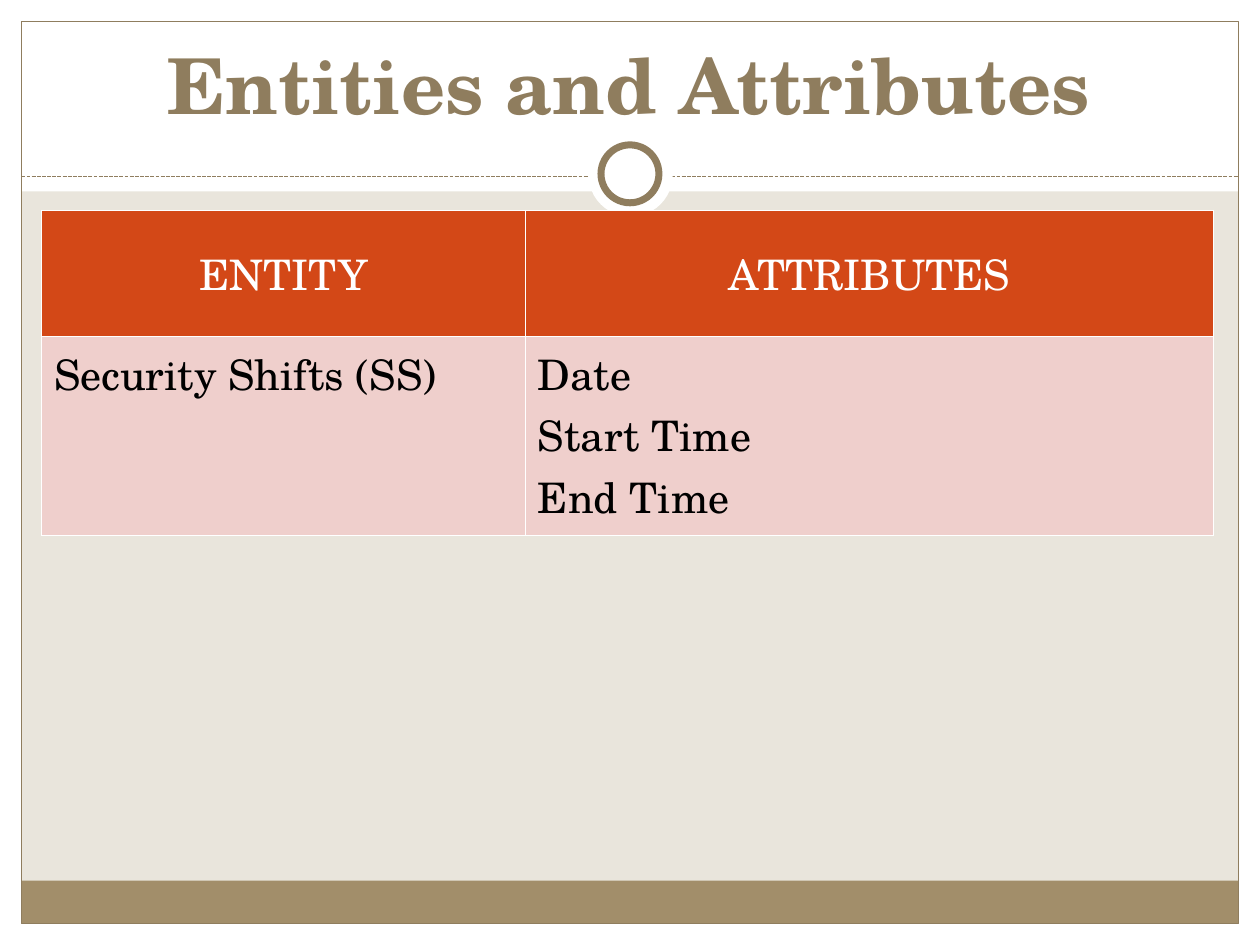
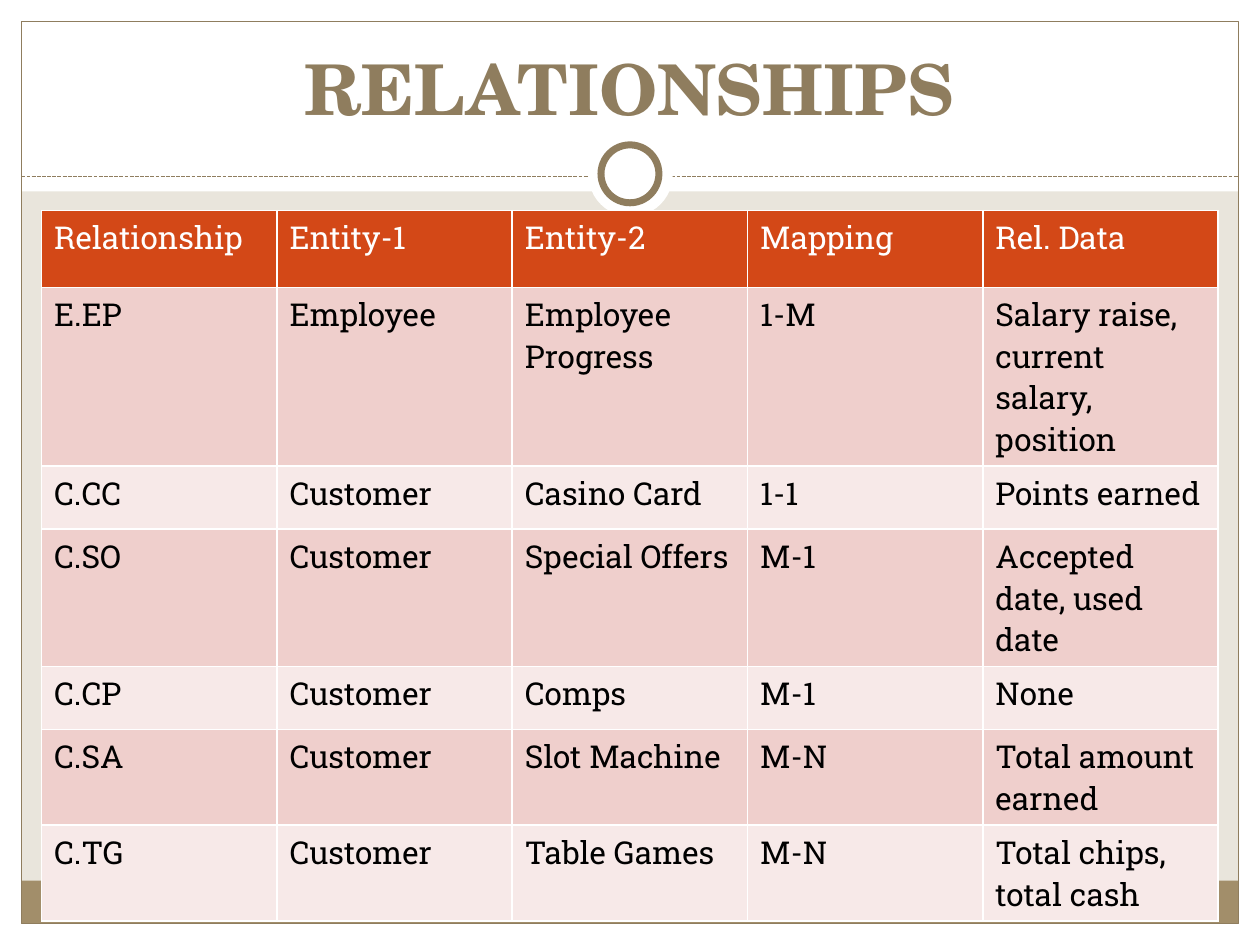
from dataclasses import dataclass
from typing import Optional

from lxml import etree
from pptx import Presentation
from pptx import util as u
from pptx.dml.color import RGBColor
from pptx.enum import dml, shapes, text
from pptx.oxml.ns import qn

# Palette and fonts
WHITE = RGBColor(0xFF, 0xFF, 0xFF)
BLACK = RGBColor(0x00, 0x00, 0x00)
SAND = RGBColor(0xE9, 0xE5, 0xDC)
BAND = RGBColor(0xA2, 0x8E, 0x6A)
BRONZE = RGBColor(0x8F, 0x7D, 0x5E)
ORANGE = RGBColor(0xD3, 0x48, 0x17)
ROSE = RGBColor(0xEF, 0xCF, 0xCC)
PALE_ROSE = RGBColor(0xF7, 0xE9, 0xE8)
SCHOLA = "TeX Gyre Schola"
SLAB = "Roboto Slab"

RECT = shapes.MSO_SHAPE.RECTANGLE
OVAL = shapes.MSO_SHAPE.OVAL
TOP, MIDDLE, BOTTOM = (text.MSO_ANCHOR.TOP, text.MSO_ANCHOR.MIDDLE,
                       text.MSO_ANCHOR.BOTTOM)
LEFT, CENTER = text.PP_ALIGN.LEFT, text.PP_ALIGN.CENTER


@dataclass(frozen=True)
class Panel:
    """One piece of the slide frame; lengths in inches, line in points."""
    left: float
    top: float
    width: float
    height: float
    fill: Optional[RGBColor] = WHITE
    line: float = 0
    kind: shapes.MSO_SHAPE = RECT


@dataclass(frozen=True)
class Grid:
    """A table with a header row and banded body rows."""
    columns: list[float]
    heights: list[float]
    rows: list[list[str]]
    font: str
    size: float
    header_align: text.PP_ALIGN = LEFT
    header_anchor: text.MSO_ANCHOR = TOP


MARGINS_AND_BAND = [
    Panel(0, 7.33, 10, 0.17),
    Panel(0, 0, 10, 1.52),
    Panel(0, 0, 0.17, 7.5),
    Panel(9.83, 0, 0.17, 7.5),
    Panel(0.17, 6.99, 9.66, 0.34, fill=BAND),
    Panel(0.17, 0.17, 9.66, 7.16, fill=None, line=0.75),
]
RING = [
    Panel(4.67, 1.05, 0.67, 0.67, kind=OVAL),
    Panel(4.77, 1.15, 0.46, 0.46, line=4, kind=OVAL),
]

ENTITIES = Grid(
    columns=[3.84, 5.46],
    heights=[1, 1.58],
    rows=[
        ["ENTITY", "ATTRIBUTES"],
        ["Security Shifts (SS)", "Date\nStart Time\nEnd Time"],
    ],
    font=SCHOLA, size=24, header_align=CENTER, header_anchor=MIDDLE,
)
RELATIONSHIPS = Grid(
    columns=[9.34 / 5] * 5,
    heights=[0.61, 1.42, 0.5, 1.09, 0.5, 0.76, 0.76],
    rows=[
        ["Relationship", "Entity-1", "Entity-2", "Mapping", "Rel. Data"],
        ["E.EP", "Employee", "Employee Progress", "1-M",
         "Salary raise, current salary, position"],
        ["C.CC", "Customer", "Casino Card", "1-1", "Points earned"],
        ["C.SO", "Customer", "Special Offers", "M-1",
         "Accepted date, used date"],
        ["C.CP", "Customer", "Comps", "M-1", "None"],
        ["C.SA", "Customer", "Slot Machine", "M-N", "Total amount earned"],
        ["C.TG", "Customer", "Table Games", "M-N",
         "Total chips, total cash"],
    ],
    font=SLAB, size=18,
)


def write(frame, content: str, *, font: str, size: float, color: RGBColor,
          bold: bool = False, align: text.PP_ALIGN = LEFT) -> None:
    """Fill a text frame, one paragraph for each line of the content."""
    frame.word_wrap = True
    frame.text = content
    for paragraph in frame.paragraphs:
        paragraph.alignment = align
        for run in paragraph.runs:
            run.font.name = font
            run.font.size = u.Pt(size)
            run.font.bold = bold
            run.font.color.rgb = color


def draw_panel(slide, panel: Panel) -> None:
    box = [u.Inches(n) for n in
           (panel.left, panel.top, panel.width, panel.height)]
    shape = slide.shapes.add_shape(panel.kind, *box)
    shape.shadow.inherit = False
    if panel.fill is None:
        shape.fill.background()
    else:
        shape.fill.solid()
        shape.fill.fore_color.rgb = panel.fill
    if panel.line:
        shape.line.color.rgb = BRONZE
        shape.line.width = u.Pt(panel.line)
    else:
        shape.line.fill.background()


def draw_divider(slide) -> None:
    divider = slide.shapes.add_connector(
        shapes.MSO_CONNECTOR.STRAIGHT,
        u.Inches(0.17), u.Inches(1.4), u.Inches(9.83), u.Inches(1.4))
    divider.line.color.rgb = BRONZE
    divider.line.width = u.Pt(0.75)
    divider.line.dash_style = dml.MSO_LINE.SQUARE_DOT
    etree.SubElement(divider._element.spPr, qn("a:effectLst"))


def draw_title(slide, title: str, size: float) -> None:
    box = slide.shapes.add_textbox(u.Inches(0.33), u.Inches(0.25),
                                   u.Inches(9.33), u.Inches(0.83))
    frame = box.text_frame
    frame.margin_top = 0
    frame.vertical_anchor = BOTTOM
    write(frame, title, font=SCHOLA, size=size, color=BRONZE,
          bold=True, align=CENTER)


def add_borders(cell) -> None:
    """White lines round a cell; these must come before its fill."""
    properties = cell._tc.get_or_add_tcPr()
    for side in "LRTB":
        line = etree.SubElement(properties, qn(f"a:ln{side}"),
                                w=str(u.Pt(1)))
        fill = etree.SubElement(line, qn("a:solidFill"))
        etree.SubElement(fill, qn("a:srgbClr"), val=str(WHITE))


def draw_grid(slide, grid: Grid) -> None:
    table = slide.shapes.add_table(
        len(grid.rows), len(grid.columns), u.Inches(0.33), u.Inches(1.67),
        u.Inches(sum(grid.columns)), u.Inches(sum(grid.heights))).table
    table.first_row = table.horz_banding = False
    for column, width in zip(table.columns, grid.columns):
        column.width = u.Inches(width)
    for row, height in zip(table.rows, grid.heights):
        row.height = u.Inches(height)

    for r, entries in enumerate(grid.rows):
        header = r == 0
        body_fill = ROSE if r % 2 else PALE_ROSE
        for c, entry in enumerate(entries):
            cell = table.cell(r, c)
            add_borders(cell)
            cell.fill.solid()
            cell.fill.fore_color.rgb = ORANGE if header else body_fill
            cell.vertical_anchor = grid.header_anchor if header else TOP
            write(cell.text_frame, entry, font=grid.font, size=grid.size,
                  color=WHITE if header else BLACK,
                  align=grid.header_align if header else LEFT)


def add_slide(deck, title: str, title_size: float, grid: Grid) -> None:
    slide = deck.slides.add_slide(deck.slide_layouts[6])
    slide.background.fill.solid()
    slide.background.fill.fore_color.rgb = SAND
    # Shared frame
    for panel in MARGINS_AND_BAND:
        draw_panel(slide, panel)
    draw_divider(slide)
    for panel in RING:
        draw_panel(slide, panel)
    # Content
    draw_title(slide, title, title_size)
    draw_grid(slide, grid)


def main() -> None:
    deck = Presentation()
    deck.slide_width, deck.slide_height = u.Inches(10), u.Inches(7.5)
    add_slide(deck, "Entities and Attributes", 44, ENTITIES)
    add_slide(deck, "RELATIONSHIPS", 40, RELATIONSHIPS)
    deck.save("out.pptx")


if __name__ == "__main__":
    main()
